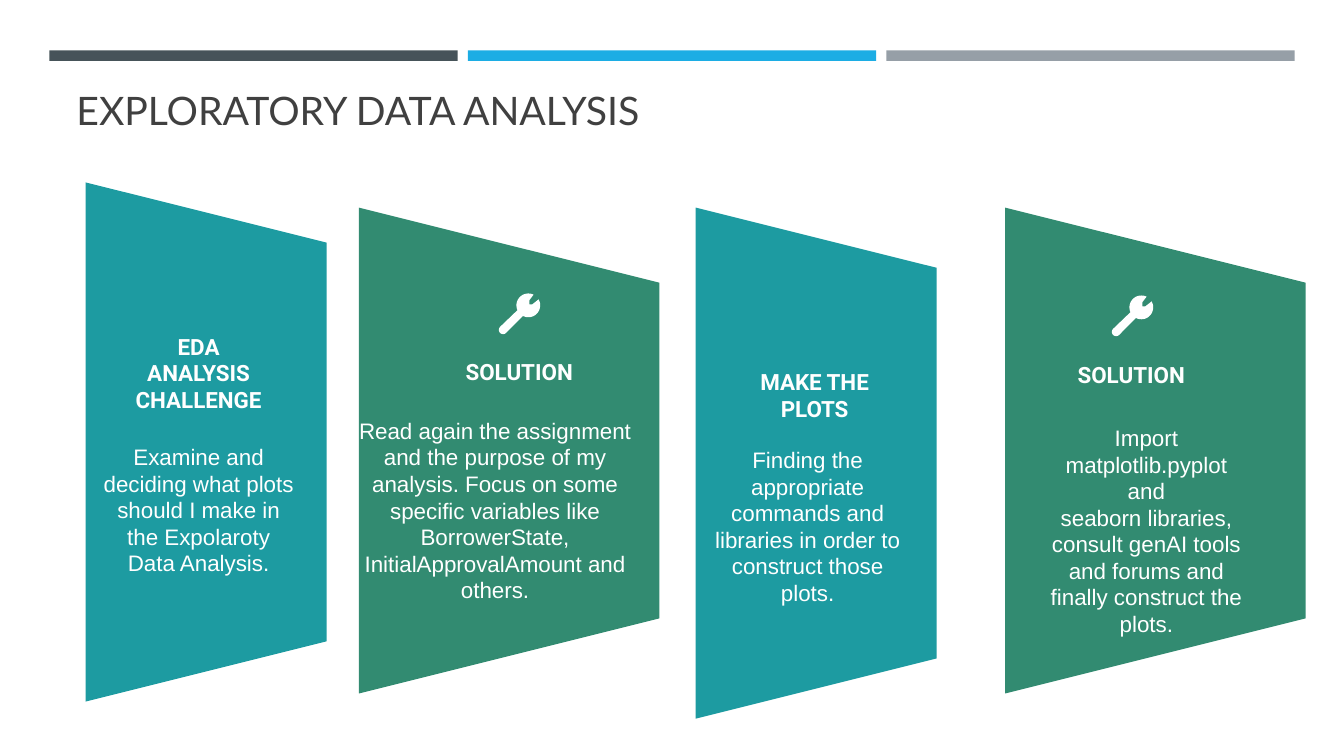
from math import cos, radians, sin

from pptx import Presentation
from pptx.dml.color import RGBColor
from pptx.enum.shapes import MSO_SHAPE
from pptx.enum.text import MSO_ANCHOR, PP_ALIGN
from pptx.util import Inches, Pt

SLATE = RGBColor(0x46, 0x53, 0x59)
SKY = RGBColor(0x1C, 0xAD, 0xE4)
GRAY = RGBColor(0x96, 0x9F, 0xA7)
CHARCOAL = RGBColor(0x40, 0x40, 0x40)
TEAL = RGBColor(0x1D, 0x9B, 0xA1)
GREEN = RGBColor(0x32, 0x8B, 0x71)
WHITE = RGBColor(0xFF, 0xFF, 0xFF)

# Each card: colour, panel area, heading and body with their areas, wrench corner.
# Areas are left, top, width, height in grid cells.
CARDS = [
    (TEAL, (8.5, 18.1, 23.9, 51.5),
     ["EDA", "ANALYSIS CHALLENGE"], (12.2, 33, 15, 8.1),
     ["Examine and deciding what plots should I make in the Expolaroty "
      "Data Analysis."], (10.1, 44, 19.2, 13.3), None),
    (GREEN, (35.6, 20.6, 29.8, 48.2),
     ["SOLUTION"], (44, 35.5, 15, 2.7),
     ["Read again the assignment and the purpose of my analysis. Focus on some "
      "specific variables like BorrowerState, InitialApprovalAmount and others."],
     (34.2, 41.4, 29.8, 18.7), (49.5, 29.1)),
    (TEAL, (69, 20.6, 23.9, 50.7),
     ["MAKE THE PLOTS"], (73.3, 36.5, 15, 5.4),
     ["Finding the appropriate commands and libraries in order to construct "
      "those plots."], (70.5, 44.3, 19.2, 16), None),
    (GREEN, (99.7, 20.6, 29.8, 48.2),
     ["SOLUTION"], (104.7, 35.8, 15, 2.7),
     ["Import matplotlib.pyplot and",
      "seaborn libraries, consult genAI tools and forums and finally construct "
      "the plots."], (104.1, 42.1, 19.2, 21.3), (110.3, 29.3)),
]


def cells(*counts):
    """Turn counts of 0.1 inch grid cells into lengths."""
    return [Inches(count / 10) for count in counts]


def write(frame, paragraphs, font="Arial", size=16, color=WHITE, bold=False,
          align=PP_ALIGN.CENTER, spacing=None):
    for index, text in enumerate(paragraphs):
        paragraph = frame.add_paragraph() if index else frame.paragraphs[0]
        paragraph.alignment = align
        if spacing:
            paragraph.line_spacing = Pt(spacing)
        run = paragraph.add_run()
        run.text = text
        run.font.name = font
        run.font.size = Pt(size)
        run.font.bold = bold
        run.font.color.rgb = color


def arc(center_x, center_y, radius, start, end, steps=16):
    angles = [radians(start + (end - start) * i / steps) for i in range(steps + 1)]
    return [(round(center_x + radius * cos(a)), round(center_y + radius * sin(a)))
            for a in angles]


class Deck:
    def __init__(self):
        self.presentation = Presentation()
        self.presentation.slide_width = Inches(13.33)
        self.presentation.slide_height = Inches(7.5)
        layout = self.presentation.slide_layouts[6]
        self.shapes = self.presentation.slides.add_slide(layout).shapes

    def paint(self, shape, color):
        shape.shadow.inherit = False
        shape.fill.solid()
        shape.fill.fore_color.rgb = color
        shape.line.fill.background()

    def bar(self, area, color):
        self.paint(self.shapes.add_shape(MSO_SHAPE.RECTANGLE, *cells(*area)), color)

    def panel(self, area, color):
        """Trapezoid turned so that its narrow side faces right."""
        left, top, width, height = area
        shift = (height - width) / 2
        trapezoid = self.shapes.add_shape(
            MSO_SHAPE.TRAPEZOID, *cells(left - shift, top + shift, height, width))
        trapezoid.rotation = 90
        self.paint(trapezoid, color)

    def text(self, area, paragraphs, inset=0, anchor=MSO_ANCHOR.TOP, **style):
        frame = self.shapes.add_textbox(*cells(*area)).text_frame
        frame.word_wrap = True
        frame.vertical_anchor = anchor
        frame.margin_left = frame.margin_right = Inches(inset)
        frame.margin_top = frame.margin_bottom = Inches(inset / 2)
        write(frame, paragraphs, **style)

    def wrench(self, corner):
        """Round head with a notch and a round-ended handle, in 0.001 inch."""
        outline = (arc(290, 120, 118, -64, -204)
                   + arc(40, 363, 42, -135, -315)
                   + arc(290, 120, 118, 117, -30)
                   + [(330, 110), (300, 110), (300, 70)])
        builder = self.shapes.build_freeform(*outline[0], scale=Inches(1) / 1000)
        builder.add_line_segments(outline[1:], close=True)
        self.paint(builder.convert_to_shape(*cells(*corner)), WHITE)


def main():
    deck = Deck()

    # Bars across the top
    for column, color in enumerate((SLATE, SKY, GRAY)):
        deck.bar((4.9 + 41.5 * column, 5, 40.5, 1.05), color)

    # Title
    deck.text((6.6, 8.8, 120, 4.9), ["EXPLORATORY DATA ANALYSIS"], inset=0.1,
              anchor=MSO_ANCHOR.BOTTOM, font="Lato", size=28, color=CHARCOAL,
              align=PP_ALIGN.LEFT)

    # Challenge and solution cards
    for color, area, heading, heading_area, body, body_area, corner in CARDS:
        deck.panel(area, color)
        deck.text(heading_area, heading, font="Roboto", bold=True)
        deck.text(body_area, body, spacing=19)
        if corner:
            deck.wrench(corner)

    deck.presentation.save("out.pptx")


if __name__ == "__main__":
    main()
